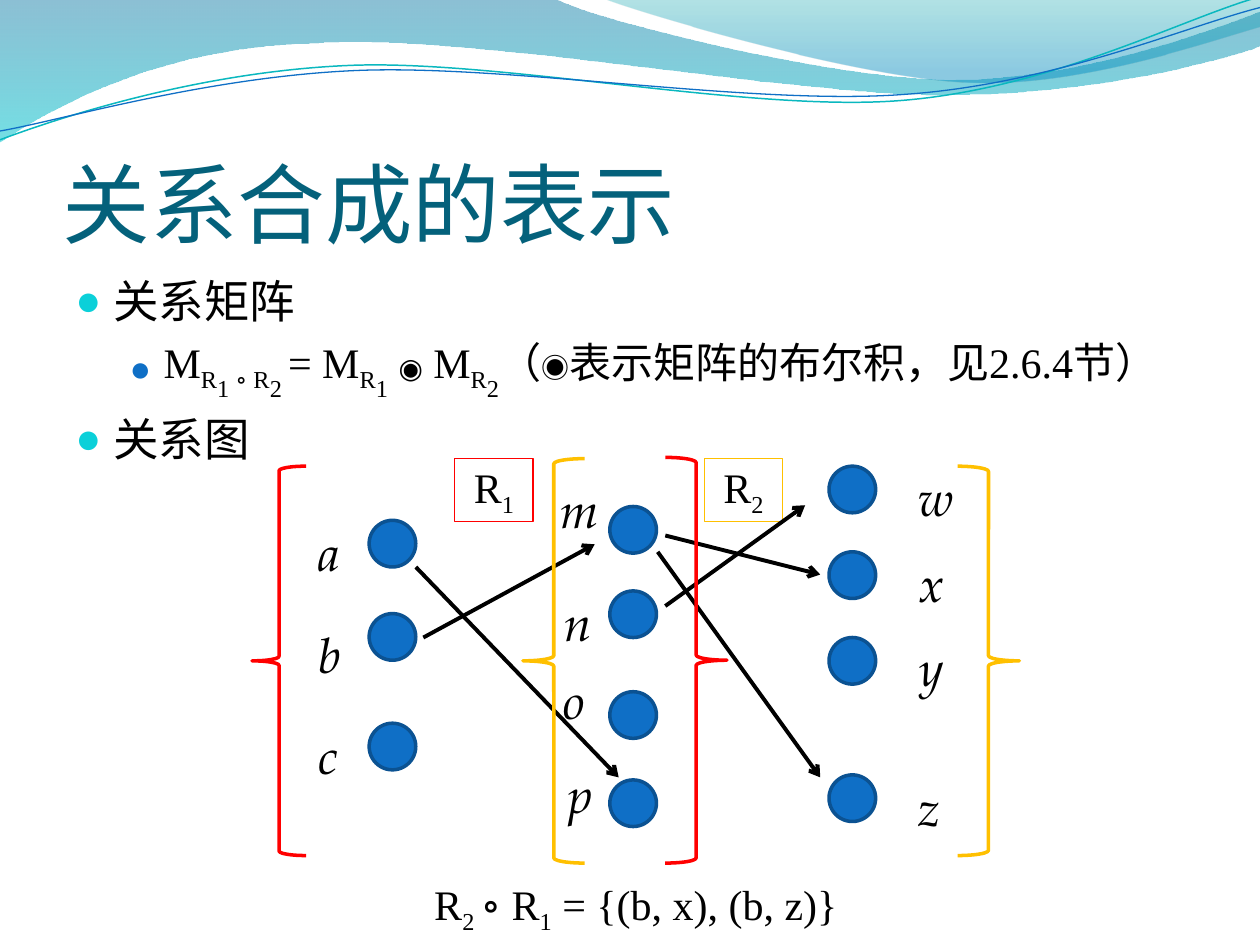
import pptx
import pptx.dml.color
import pptx.enum.shapes
import pptx.enum.text
import pptx.oxml.ns
import pptx.util
from dataclasses import dataclass
from typing import NamedTuple

from lxml import etree

Inches, Pt = pptx.util.Inches, pptx.util.Pt
Shape = pptx.enum.shapes.MSO_SHAPE
Align = pptx.enum.text.PP_ALIGN
Anchor = pptx.enum.text.MSO_ANCHOR
qn = pptx.oxml.ns.qn


@dataclass(frozen=True)
class Theme:
    title: str = "04617B"
    text: str = "000000"
    blue: str = "0F6FC6"
    blue_edge: str = "0B5292"
    cyan: str = "0BD0D9"
    teal: str = "0AB8BF"
    red: str = "FF0000"
    gold: str = "FFC000"
    serif: str = "Times New Roman"
    italic: str = "TeX Gyre Pagella"
    cjk: str = "Noto Sans CJK SC"
    title_size: float = 50
    label_size: float = 28
    body_size: float = 26
    detail_size: float = 24
    symbol_size: float = 16


T = Theme()


class Run(NamedTuple):
    text: str
    base: int = 0
    size: float = T.detail_size


class Stop(NamedTuple):
    position: float
    color: str
    opacity: int


class Bullet(NamedTuple):
    color: str
    percent: int
    left: float
    hanging: float


class Dots(NamedTuple):
    x: float
    tops: tuple


class Label(NamedTuple):
    text: str
    x: float
    y: float


class Brace(NamedTuple):
    kind: int
    color: str
    box: tuple


def rgb(color: str):
    return pptx.dml.color.RGBColor.from_string(color)


def apply(target, values: dict) -> None:
    for name, value in values.items():
        setattr(target, name, value)


def sub(parent, tag: str, **attrs):
    return etree.SubElement(parent, qn(tag), {k: str(v) for k, v in attrs.items()})


def outline(s, color: str, width: float) -> None:
    s.line.color.rgb = rgb(color)
    s.line.width = Pt(width)


# Text
def write(p, runs, font: str = T.serif, color: str = T.text, italic: bool = False) -> None:
    for run in runs:
        r = p.add_run()
        r.text = run.text
        apply(r.font, {"size": Pt(run.size), "name": font, "italic": italic})
        r.font.color.rgb = rgb(color)
        rPr = r._r.get_or_add_rPr()
        sub(rPr, "a:ea", typeface=T.cjk)
        if run.base:
            rPr.set("baseline", str(run.base * 1000))


def text_box(shapes, x: float, y: float, w: float, h: float):
    tf = shapes.add_textbox(*map(Inches, (x, y, w, h))).text_frame
    tf.word_wrap = True
    return tf


def add_bullet(p, b: Bullet) -> None:
    pPr = p._p.get_or_add_pPr()
    for name, length in {"marL": b.left, "indent": -b.hanging}.items():
        pPr.set(name, str(Inches(length)))
    sub(sub(pPr, "a:buClr"), "a:srgbClr", val=b.color)
    sub(pPr, "a:buSzPct", val=b.percent * 1000)
    sub(pPr, "a:buFont", typeface=T.serif)
    sub(pPr, "a:buChar", char="●")


# Curved outlines: a segment of two numbers is a line, one of six a Bezier curve
def freeform(shapes, start: tuple, segments: list, close: bool):
    flat = [Inches(v) for segment in segments for v in segment]
    builder = shapes.build_freeform(*map(Inches, start), scale=1.0)
    builder.add_line_segments(list(zip(flat[::2], flat[1::2])), close=close)
    s = builder.convert_to_shape()
    s.shadow.inherit = False
    lines = s._element.spPr.iter(qn("a:lnTo"))
    lines = iter(list(lines))
    for segment in segments:
        first = next(lines)
        if len(segment) == 6:
            first.tag = qn("a:cubicBezTo")
            for extra in (next(lines), next(lines)):
                first.append(extra[0])
                extra.getparent().remove(extra)
    return s


def add_band(shapes, start: tuple, segments: list, stops: tuple) -> None:
    s = freeform(shapes, start, segments, True)
    s.line.fill.background()
    s.fill.gradient()
    s.fill.gradient_angle = 270
    for target, stop in zip(s.fill.gradient_stops, stops):
        target.position = stop.position
        target.color.rgb = rgb(stop.color)
        sub(target._gs.find(qn("a:srgbClr")), "a:alpha", val=stop.opacity * 1000)


def add_wave(shapes, start: tuple, segments: list, color: str, width: float) -> None:
    s = freeform(shapes, start, segments, False)
    s.fill.background()
    outline(s, color, width)


# Diagram parts
def add_shape(shapes, kind, box: tuple, color: str, width: float, fill: str = ""):
    s = shapes.add_shape(kind, *map(Inches, box))
    s.shadow.inherit = False
    if fill:
        s.fill.solid()
        s.fill.fore_color.rgb = rgb(fill)
    else:
        s.fill.background()
    outline(s, color, width)
    return s


def add_arrow(shapes, start: tuple, end: tuple) -> None:
    c = shapes.add_connector(pptx.enum.shapes.MSO_CONNECTOR.STRAIGHT, *map(Inches, start + end))
    outline(c, T.text, 2.25)
    sub(c.line._get_or_add_ln(), "a:tailEnd", type="arrow")
    sub(c._element.spPr, "a:effectLst")


def add_relation(shapes, x: float, number: str, color: str) -> None:
    s = add_shape(shapes, Shape.RECTANGLE, (x, 3.64, 0.62, 0.5), color, 0.75)
    p = s.text_frame.paragraphs[0]
    p.alignment = Align.CENTER
    write(p, [Run("R"), Run(number, -25)])


BANDS = [
    ((0, 0), [(4.4, -0.01), (4.76, 0.17, 6.64, 0.63, 7.58, 0.63), (8.53, 0.63, 9.58, 0.26, 10, 0.09),
              (10.01, 0.36), (9.83, 0.44, 8.7, 0.76, 7.46, 0.75), (6.22, 0.75, 3.82, 0.28, 2.57, 0.34),
              (1.29, 0.36, 0.46, 0.83, -0.01, 1.13)],
     (Stop(0, "0074A1", 45), Stop(1, "00C6CF", 55))),
    ((4.79, -0.01), [(5.09, 0.11, 6.82, 0.62, 7.69, 0.65), (8.56, 0.69, 9.61, 0.32, 10, 0.21), (10, 0)],
     (Stop(0, "00A1A9", 30), Stop(0.8, "008BBF", 45))),
]
WAVES = [
    ((0, 1.11), [(0.48, 0.93, 1.58, 0.57, 2.77, 0.52), (3.95, 0.47, 5.93, 0.89, 7.13, 0.8),
                 (8.33, 0.71, 9.38, 0.15, 9.98, -0.02)], T.teal, 0.85),
    ((0, 1.04), [(0.47, 0.96, 1.64, 0.61, 2.83, 0.56), (4.03, 0.51, 5.97, 0.84, 7.17, 0.75),
                 (8.36, 0.67, 9.41, 0.21, 10, 0.06)], T.blue, 0.75),
]
TOP = Bullet(T.cyan, 95, 0.3, 0.3)
DETAIL = Bullet(T.blue, 85, 0.7, 0.27)
BODY = [
    (TOP, [Run("关系矩阵", size=T.body_size)]),
    (DETAIL, [Run("M"), Run("R", -25), Run("1", -45), Run(" ∘ R", -25), Run("2 ", -45), Run("= M"),
              Run("R", -25), Run("1", -45), Run(" "), Run("◉", size=T.symbol_size), Run(" M"), Run("R", -25),
              Run("2", -45), Run("（"), Run("◉", size=T.symbol_size), Run("表示矩阵的布尔积，见2.6.4节）")]),
    (TOP, [Run("关系图", size=T.body_size)]),
]
DOTS = [Dots(2.93, (4.13, 4.87, 5.74)), Dots(4.84, (4.02, 4.69, 5.49, 6.19)), Dots(6.58, (3.7, 4.38, 5.06, 6.15))]
LABELS = [Label(*v) for v in (
    ("a", 2.43, 4.1), ("b", 2.43, 4.91), ("c", 2.43, 5.71),
    ("m", 4.35, 3.76), ("n", 4.38, 4.65), ("o", 4.37, 5.27), ("p", 4.41, 6.02),
    ("w", 7.19, 3.66), ("x", 7.2, 4.34), ("y", 7.2, 5.01), ("z", 7.19, 6.12))]
ARROWS = [((3.36, 5.06), (4.72, 4.32)), ((3.3, 4.5), (4.91, 6.17)), ((5.28, 4.81), (6.39, 4.01)),
          ((5.28, 4.25), (6.51, 4.56)), ((5.22, 4.38), (6.51, 6.17))]
BRACES = [Brace(Shape.RIGHT_BRACE, T.red, (5.28, 3.63, 0.49, 3.22)),
          Brace(Shape.LEFT_BRACE, T.red, (2, 3.7, 0.43, 3.09)),
          Brace(Shape.RIGHT_BRACE, T.gold, (7.6, 3.7, 0.49, 3.09)),
          Brace(Shape.LEFT_BRACE, T.gold, (4.15, 3.64, 0.49, 3.21))]


def main() -> None:
    prs = pptx.Presentation()
    apply(prs, {"slide_width": Inches(10), "slide_height": Inches(7.5)})
    shapes = prs.slides.add_slide(prs.slide_layouts[6]).shapes

    # Header waves
    for band in BANDS:
        add_band(shapes, *band)
    for wave in WAVES:
        add_wave(shapes, *wave)

    # Title and bullets
    tf = text_box(shapes, 0.5, 0.77, 9, 1.25)
    apply(tf, {"vertical_anchor": Anchor.BOTTOM, "margin_left": 0, "margin_right": 0, "margin_bottom": 0})
    write(tf.paragraphs[0], [Run("关系合成的表示", size=T.title_size)], T.cjk, T.title)
    tf = text_box(shapes, 0.5, 2.12, 9, 4.8)
    tf.margin_right = Inches(0.2)
    for i, (bullet, runs) in enumerate(BODY):
        p = tf.add_paragraph() if i else tf.paragraphs[0]
        apply(p, {"space_before": Pt(runs[0].size * 0.2), "level": int(bullet is DETAIL)})
        add_bullet(p, bullet)
        write(p, runs)

    # Relation diagram
    for column in DOTS:
        for top in column.tops:
            add_shape(shapes, Shape.OVAL, (column.x, top, 0.37, 0.37), T.blue_edge, 2, T.blue)
    add_relation(shapes, 3.61, "1", T.red)
    add_relation(shapes, 5.59, "2", T.gold)
    for start, end in ARROWS:
        add_arrow(shapes, start, end)
    for brace in BRACES:
        add_shape(shapes, brace.kind, brace.box, brace.color, 2)
    for label in LABELS:
        tf = text_box(shapes, label.x, label.y, 0.31, 0.42)
        write(tf.paragraphs[0], [Run(label.text, size=T.label_size)], T.italic, italic=True)

    # Result
    p = text_box(shapes, 2.42, 6.92, 5.17, 0.5).paragraphs[0]
    p.alignment = Align.CENTER
    write(p, [Run(" R"), Run("2 ", -25), Run("∘ R"), Run("1", -25), Run(" = {(b, x), (b, z)}")])
    prs.save("out.pptx")


if __name__ == "__main__":
    main()
